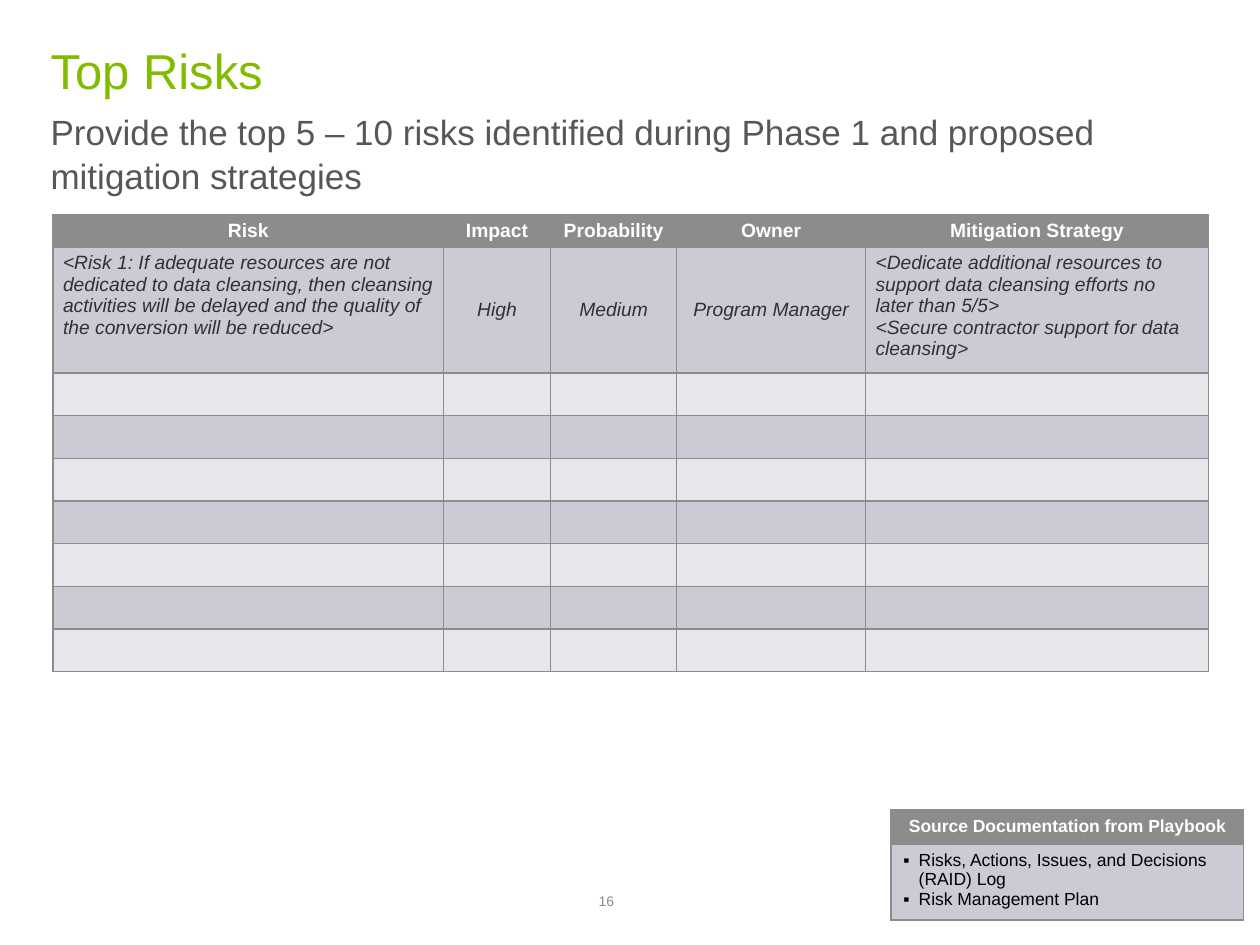
from dataclasses import dataclass

from lxml.etree import SubElement
from pptx import Presentation
from pptx.dml.color import RGBColor as Rgb
from pptx.enum.text import MSO_ANCHOR as Anchor, PP_ALIGN as Align
from pptx.oxml.ns import qn
from pptx.util import Cm, Pt


@dataclass(frozen=True)
class Theme:
    font: str = "Arial"
    green: str = "81BC00"
    slate: str = "575757"
    gray: str = "8C8C8C"
    ink: str = "313131"
    black: str = "000000"
    white: str = "FFFFFF"
    dark_band: str = "CACBD5"
    light_band: str = "E6E7EB"
    title: int = 28
    subtitle: int = 20
    cell: int = 11
    note: int = 10
    page: int = 8


class SlideBuilder:
    def __init__(self, slide, theme):
        self.slide = slide
        self.theme = theme

    def add_words(self, paragraph, words, size, color, bold=False, italic=False):
        run = paragraph.add_run()
        run.text = words
        font = run.font
        font.name, font.size = self.theme.font, Pt(size)
        font.bold, font.italic = bold, italic
        font.color.rgb = Rgb.from_string(color)

    def text(self, box, words, size, color, anchor=Anchor.TOP, spacing=1.0):
        frame = self.slide.shapes.add_textbox(*map(Cm, box)).text_frame
        frame.word_wrap = True
        frame.vertical_anchor = anchor
        frame.margin_left = frame.margin_right = Cm(0)
        frame.margin_top = frame.margin_bottom = Cm(0)
        paragraph = frame.paragraphs[0]
        paragraph.line_spacing = spacing
        self.add_words(paragraph, words, size, color)

    def table(self, left, top, widths, heights):
        grid = self.slide.shapes.add_table(
            len(heights), len(widths), Cm(left), Cm(top),
            Cm(sum(widths)), Cm(sum(heights))).table
        for column, width in zip(grid.columns, widths):
            column.width = Cm(width)
        for index, (row, height) in enumerate(zip(grid.rows, heights)):
            row.height = Cm(height)
            band = self.theme.dark_band if index % 2 else self.theme.light_band
            for cell in row.cells:
                self.border(cell)
                cell.fill.solid()
                cell.fill.fore_color.rgb = Rgb.from_string(
                    band if index else self.theme.gray)
                cell.margin_top = cell.margin_bottom = Cm(0)
        return grid

    def border(self, cell):
        properties = cell._tc.get_or_add_tcPr()
        for side in ("a:lnL", "a:lnR", "a:lnT", "a:lnB"):
            line = SubElement(properties, qn(side), w=str(Pt(1)))
            fill = SubElement(line, qn("a:solidFill"))
            SubElement(fill, qn("a:srgbClr"), val=self.theme.gray)

    def fill_cell(self, cell, lines, size, color, inset, align=Align.LEFT,
                  anchor=Anchor.TOP, bullet=None, **emphasis):
        side, edge = inset
        cell.margin_left = cell.margin_right = Cm(side)
        cell.margin_top = cell.margin_bottom = Cm(edge)
        cell.vertical_anchor = anchor
        frame = cell.text_frame
        for index, words in enumerate(lines):
            paragraph = frame.add_paragraph() if index else frame.paragraphs[0]
            paragraph.alignment = align
            if bullet:
                self.bullet(paragraph, bullet, color)
            self.add_words(paragraph, words, size, color, **emphasis)

    def bullet(self, paragraph, mark, color):
        properties = paragraph._p.get_or_add_pPr()
        properties.set("marL", str(Cm(0.31)))
        properties.set("indent", str(Cm(-0.31)))
        tint = SubElement(properties, qn("a:buClr"))
        SubElement(tint, qn("a:srgbClr"), val=color)
        SubElement(properties, qn("a:buFont"), typeface=self.theme.font)
        SubElement(properties, qn("a:buChar"), char=mark)


def add_risk_table(builder):
    theme, inset = builder.theme, (0.2, 0.1)
    empty_rows = 7
    risks = builder.table(1.07, 4.32, [7.87, 2.16, 2.54, 3.81, 6.91],
                          [0.63, 2.35] + [0.86] * empty_rows)
    headings = ["Risk", "Impact", "Probability", "Owner", "Mitigation Strategy"]
    first_risk = [
        ["<Risk 1: If adequate resources are not dedicated to data cleansing, "
         "then cleansing activities will be delayed and the quality of the "
         "conversion will be reduced>"],
        ["High"],
        ["Medium"],
        ["Program Manager"],
        ["<Dedicate additional resources to support data cleansing efforts "
         "no later than 5/5>",
         "<Secure contractor support for data cleansing>"],
    ]
    wordy = ("Risk", "Mitigation Strategy")
    for column, (heading, entry) in enumerate(zip(headings, first_risk)):
        builder.fill_cell(risks.cell(0, column), [heading], theme.cell,
                          theme.white, inset, Align.CENTER, Anchor.MIDDLE,
                          bold=True)
        align, anchor = ((Align.LEFT, Anchor.TOP) if heading in wordy
                         else (Align.CENTER, Anchor.MIDDLE))
        builder.fill_cell(risks.cell(1, column), entry, theme.cell, theme.ink,
                          inset, align, anchor, italic=True)


def add_source_table(builder):
    theme, inset = builder.theme, (0.25, 0.13)
    sources = builder.table(17.96, 16.33, [7.11], [0.65, 1.43])
    builder.fill_cell(sources.cell(0, 0), ["Source Documentation from Playbook"],
                      theme.note, theme.white, inset, Align.CENTER, bold=True)
    builder.fill_cell(sources.cell(1, 0),
                      ["Risks, Actions, Issues, and Decisions (RAID) Log",
                       "Risk Management Plan"],
                      theme.note, theme.black, inset, bullet="▪")


def main():
    deck = Presentation()
    deck.slide_width, deck.slide_height = Cm(25.4), Cm(19.05)
    theme = Theme()
    builder = SlideBuilder(deck.slides.add_slide(deck.slide_layouts[6]), theme)
    builder.text((12.07, 18, 1.27, 0.34), "16", theme.page, theme.gray,
                 Anchor.BOTTOM)
    builder.text((1.02, 2.18, 23.37, 2.11),
                 "Provide the top 5 – 10 risks identified during Phase 1 "
                 "and proposed mitigation strategies",
                 theme.subtitle, theme.slate, spacing=1.05)
    builder.text((1.02, 0.81, 23.37, 1.3), "Top Risks", theme.title, theme.green)
    add_risk_table(builder)
    add_source_table(builder)
    deck.save("out.pptx")


if __name__ == "__main__":
    main()
